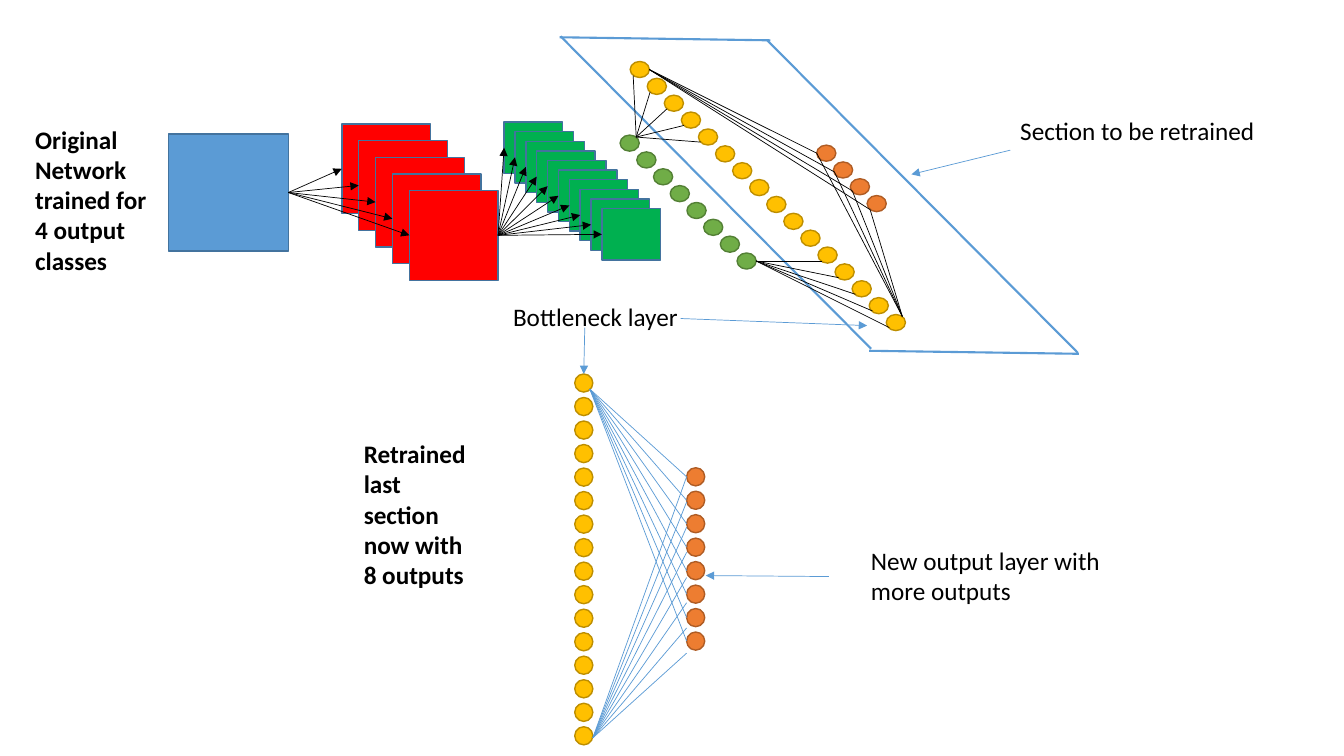
from dataclasses import dataclass

from lxml.etree import SubElement
from pptx import Presentation
from pptx.dml.color import RGBColor
from pptx.enum.shapes import MSO_CONNECTOR, MSO_SHAPE
from pptx.enum.text import MSO_AUTO_SIZE
from pptx.oxml.ns import qn
from pptx.util import Inches, Pt


@dataclass(frozen=True)
class Theme:
    font: str = "Calibri"
    text_size: float = 18
    black: str = "000000"
    blue: str = "5B9BD5"
    blue_edge: str = "43739E"
    red: str = "FF0000"
    green: str = "00B050"
    leaf: str = "70AD47"
    leaf_edge: str = "538035"
    gold: str = "FFC000"
    gold_edge: str = "BD8E00"
    orange: str = "ED7D31"
    orange_edge: str = "AF5C24"
    outline: float = 1
    thin: float = 0.5
    thick: float = 1.5


THEME = Theme()

# The grid has one column and one row per inch: 13.33 columns by 7.5 rows.
COLUMNS, ROWS = 13.33, 7.5
RECTANGLE, CIRCLE = MSO_SHAPE.RECTANGLE, MSO_SHAPE.OVAL
NODE, ROUND_NODE = (0.19, 0.16), (0.18, 0.18)

# name: preset, first corner, last corner, count, size, fill, edge
LAYERS = {
    "input": (RECTANGLE, (1.67, 1.33), (1.67, 1.33), 1, (1.19, 1.16), THEME.blue, THEME.blue_edge),
    "first maps": (RECTANGLE, (3.39, 1.23), (4.06, 1.89), 5, (0.88, 0.89), THEME.red, THEME.blue_edge),
    "second maps": (RECTANGLE, (5, 1.21), (5.97, 2.07), 10, (0.58, 0.51), THEME.green, THEME.blue_edge),
    "dense": (CIRCLE, (6.15, 1.34), (7.31, 2.51), 8, NODE, THEME.leaf, THEME.leaf_edge),
    "bottleneck": (CIRCLE, (6.25, 0.61), (8.79, 3.12), 16, NODE, THEME.gold, THEME.gold_edge),
    "outputs": (CIRCLE, (8.1, 1.44), (8.6, 1.94), 4, NODE, THEME.orange, THEME.orange_edge),
    "retrained bottleneck": (CIRCLE, (5.7, 3.71), (5.7, 7.21), 16, ROUND_NODE, THEME.gold, THEME.gold_edge),
    "new outputs": (CIRCLE, (6.81, 4.64), (6.81, 6.27), 8, ROUND_NODE, THEME.orange, THEME.orange_edge),
}

# text, left, top, width, height, bold
LABELS = [
    ("Bottleneck layer", 4.99, 2.94, 2.22, 0.4, False),
    ("New output layer with more outputs", 8.54, 5.36, 2.81, 0.71, False),
    ("Original Network trained for 4 output classes", 0.25, 1.18, 1.39, 1.62, True),
    ("Retrained last section now with 8 outputs", 3.51, 4.3, 1.27, 1.62, True),
    ("Section to be retrained", 10.02, 1.09, 2.92, 0.4, False),
]

LABEL_ARROWS = [
    ((6.75, 3.16), (8.6, 3.23)),
    ((5.8, 3.25), (5.79, 3.71)),
    ((8.22, 5.72), (7, 5.71)),
    ((10.02, 1.49), (9.04, 1.73)),
]

SECTION_EDGES = [
    ((5.56, 0.36), (8.64, 3.46)),
    ((8.62, 3.48), (10.7, 3.51)),
    ((7.61, 0.4), (10.69, 3.5)),
    ((5.55, 0.37), (7.64, 0.4)),
]

# origin, first target, last target, count, colour
FANS = [
    ((5.85, 3.86), (6.81, 4.73), (6.81, 6.36), 8, THEME.blue),
    ((5.88, 7.32), (6.81, 4.73), (6.81, 6.48), 8, THEME.blue),
    ((8.95, 3.14), (8.1, 1.52), (8.63, 2.08), 4, THEME.black),
    ((6.44, 0.69), (8.1, 1.52), (8.63, 2.08), 4, THEME.black),
    ((6.31, 1.36), (6.28, 0.75), (6.95, 1.41), 5, THEME.black),
    ((7.5, 2.59), (8.15, 2.59), (8.82, 3.25), 5, THEME.black),
]

# Each target rectangle receives an arrow from the last rectangle of its source.
MAP_LINKS = [("input", "first maps"), ("first maps", "second maps")]
LEFT_SIDE, RIGHT_SIDE = 1, 3


def spread(first, last, count):
    """Return evenly spaced points from first to last, both included."""
    steps = max(count - 1, 1)
    return [tuple(a + (b - a) * index / steps for a, b in zip(first, last))
            for index in range(count)]


def add_layer(page, preset, first, last, count, size, fill, edge):
    nodes = []
    for corner in spread(first, last, count):
        node = page.shapes.add_shape(preset, *map(Inches, corner + size))
        node.shadow.inherit = False
        node.fill.solid()
        node.fill.fore_color.rgb = RGBColor.from_string(fill)
        node.line.color.rgb = RGBColor.from_string(edge)
        node.line.width = Pt(THEME.outline)
        nodes.append(node)
    return nodes


def add_line(page, start, end, colour, width=THEME.thin, arrow=False):
    line = page.shapes.add_connector(MSO_CONNECTOR.STRAIGHT, *map(Inches, start + end))
    line.line.color.rgb = RGBColor.from_string(colour)
    line.line.width = Pt(width)
    if arrow:
        SubElement(line.line._get_or_add_ln(), qn("a:tailEnd"), type="triangle")
    SubElement(line._element.spPr, qn("a:effectLst"))
    return line


def add_label(page, text, left, top, width, height, bold):
    box = page.shapes.add_textbox(*map(Inches, (left, top, width, height)))
    frame = box.text_frame
    frame.word_wrap = True
    frame.auto_size = MSO_AUTO_SIZE.SHAPE_TO_FIT_TEXT
    span = frame.paragraphs[0].add_run()
    span.text = text
    formats = {"name": THEME.font, "size": Pt(THEME.text_size), "bold": bold}
    for attribute, value in formats.items():
        setattr(span.font, attribute, value)
    span.font.color.rgb = RGBColor.from_string(THEME.black)


def main():
    deck = Presentation()
    deck.slide_width, deck.slide_height = Inches(COLUMNS), Inches(ROWS)
    page = deck.slides.add_slide(deck.slide_layouts[6])

    layers = {name: add_layer(page, *layer) for name, layer in LAYERS.items()}
    for label in LABELS:
        add_label(page, *label)
    for start, end in LABEL_ARROWS:
        add_line(page, start, end, THEME.blue, arrow=True)
    for start, end in SECTION_EDGES:
        add_line(page, start, end, THEME.blue, THEME.thick)
    for source, target in MAP_LINKS:
        for node in layers[target]:
            link = add_line(page, (0, 0), (0, 0), THEME.black, arrow=True)
            link.begin_connect(layers[source][-1], RIGHT_SIDE)
            link.end_connect(node, LEFT_SIDE)
    for origin, first, last, count, colour in FANS:
        for target in spread(first, last, count):
            add_line(page, origin, target, colour)

    deck.save("out.pptx")


if __name__ == "__main__":
    main()
